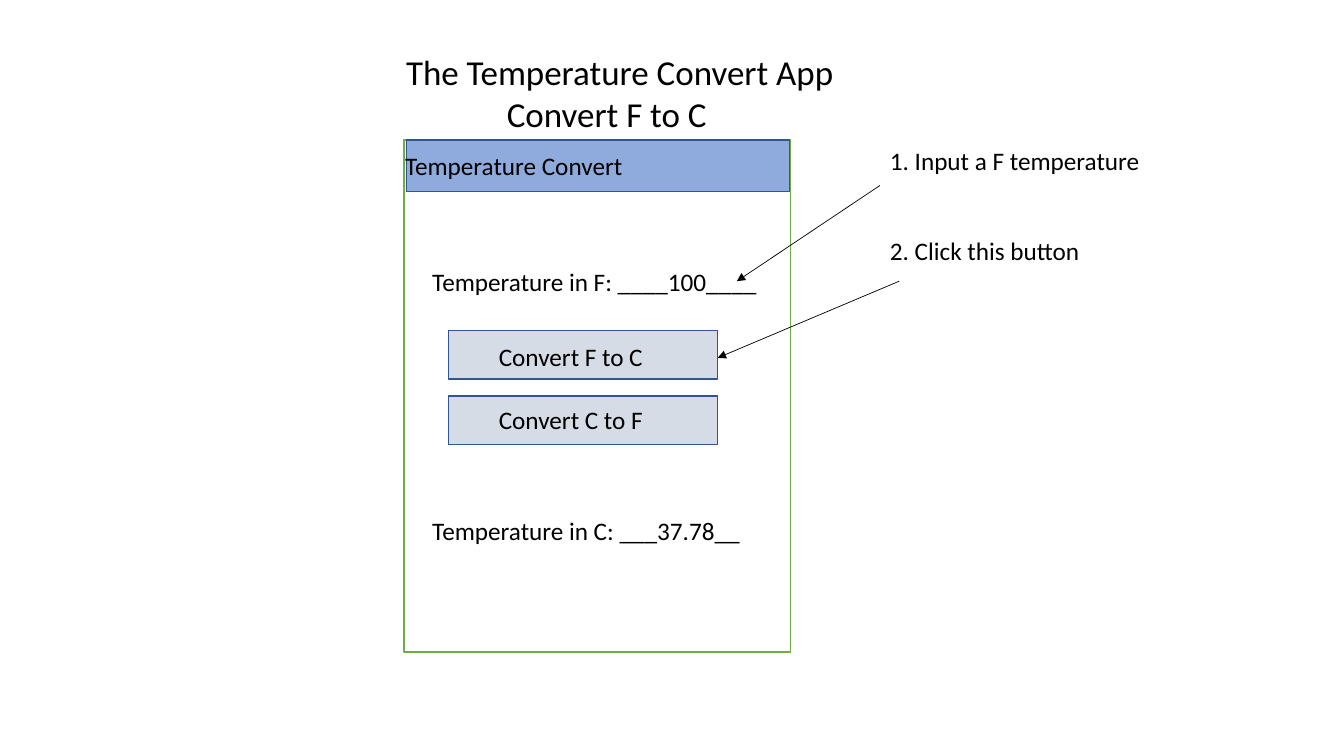
"""Build the slide that explains the temperature app."""
from lxml.etree import SubElement
from pptx import Presentation
from pptx.dml.color import RGBColor
from pptx.enum.shapes import MSO_CONNECTOR, MSO_SHAPE
from pptx.oxml.ns import qn
from pptx.util import Inches, Pt

BLACK = RGBColor(0x00, 0x00, 0x00)
WHITE = RGBColor(0xFF, 0xFF, 0xFF)
GREEN = RGBColor(0x70, 0xAD, 0x47)
NAVY = RGBColor(0x32, 0x54, 0x91)
BLUE = RGBColor(0x8F, 0xAA, 0xDC)
GREY = RGBColor(0xD6, 0xDC, 0xE5)
COLS, ROWS = 40, 30
LABEL = 1.6


class Page:
    """Hold the style and the slide, measured in grid columns and rows."""

    def __init__(self, deck):
        self.slide = deck.slides.add_slide(deck.slide_layouts[6])
        self.shapes = self.slide.shapes
        self.col = deck.slide_width / COLS
        self.row = deck.slide_height / ROWS
        self.font = {"name": "Calibri", "size": Pt(18)}

    def place(self, *spots):
        """Turn pairs of columns and rows into lengths."""
        units = (self.col, self.row) * 2
        return [round(spot * unit) for spot, unit in zip(spots, units)]

    def text(self, x, y, wide, *lines, high=LABEL, inset=0, **style):
        """Add a text box whose later lines may be inset."""
        frame = self.shapes.add_textbox(*self.place(x, y, wide, high)).text_frame
        frame.word_wrap = True
        for rank, line in enumerate(lines):
            part = frame.add_paragraph() if rank else frame.paragraphs[0]
            run = part.add_run()
            run.text = line
            for key, value in {**self.font, **style}.items():
                setattr(run.font, key, value)
            run.font.color.rgb = BLACK
            if rank and inset:
                part._p.get_or_add_pPr().set("marL", str(inset))

    def box(self, x, y, wide, high, fill, edge):
        """Add a filled rectangle with a thin edge."""
        shape = self.shapes.add_shape(
            MSO_SHAPE.RECTANGLE, *self.place(x, y, wide, high))
        shape.shadow.inherit = False
        shape.fill.solid()
        shape.fill.fore_color.rgb = fill
        shape.line.color.rgb = edge
        shape.line.width = Pt(1)

    def arrow(self, *ends):
        """Add a thin line with an arrowhead at its end."""
        link = self.shapes.add_connector(MSO_CONNECTOR.STRAIGHT, *self.place(*ends))
        link.line.color.rgb = BLACK
        link.line.width = Pt(0.5)
        SubElement(link.line._get_or_add_ln(), qn("a:tailEnd"), type="triangle")
        SubElement(link._element.spPr, qn("a:effectLst"))


deck = Presentation()
deck.slide_width, deck.slide_height = Inches(13.33), Inches(7.5)
page = Page(deck)

TOP = 5.56
page.text(11.79, 1.8, 13.47, "The Temperature Convert App", "Convert F to C",
          high=3.76, inset=Inches(1), size=Pt(25))
page.box(12.03, TOP, 11.49, 20.32, WHITE, GREEN)
page.box(12.09, TOP, 11.4, 2.04, BLUE, NAVY)
page.text(11.76, 5.76, 7.44, "Temperature Convert")

for y, field in ((10.36, "Temperature in F: ____100____"),
                 (20.24, "Temperature in C: ___37.78__")):
    page.text(12.57, y, 10.41, field)

for y, drop, name in ((13.12, 0.24, "Convert F to C"),
                      (15.72, 0.12, "Convert C to F")):
    page.box(13.35, y, 8.01, 1.92, GREY, NAVY)
    page.text(14.55, y + drop, 6.45, name)

STEPS = (("1. Input a F temperature", (26.19, 7.36, 21.93, 11.16)),
         ("2. Click this button", (26.76, 11.16, 21.36, 14.2)))
for rank, (step, ends) in enumerate(STEPS):
    page.text(26.19, TOP + 3.6 * rank, 8.28, step)
    page.arrow(*ends)

deck.save("out.pptx")
